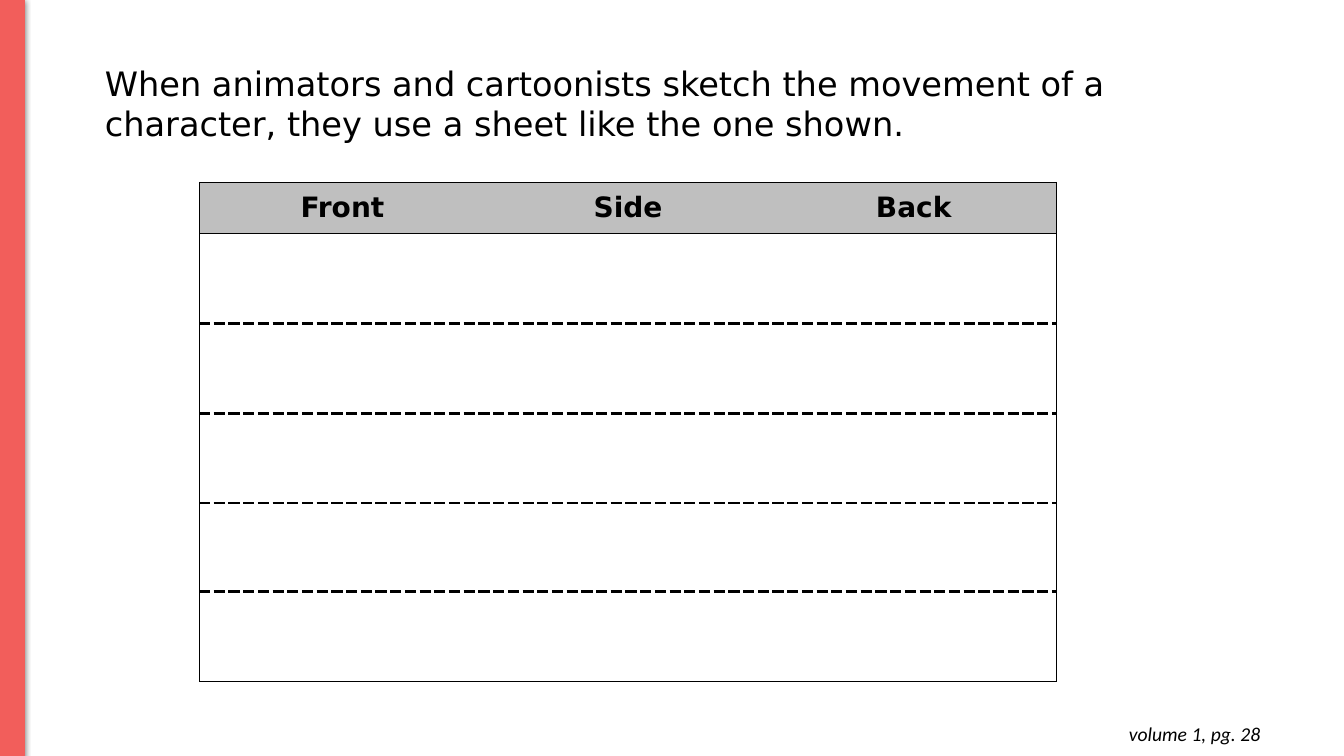
from lxml.etree import SubElement
from pptx import Presentation
from pptx.dml.color import RGBColor
from pptx.enum.shapes import MSO_SHAPE
from pptx.enum.text import MSO_ANCHOR, MSO_AUTO_SIZE, PP_ALIGN
from pptx.oxml.ns import qn
from pptx.util import Inches, Pt

BLACK = "000000"
CORAL = "F25E5B"
HEADER_GREY = "BFBFBF"
SANS = "DejaVu Sans"
PLAIN_TABLE_STYLE = "{2D5ABB26-0587-4C30-8999-92F81FD0307C}"
THIN = (1, "solid")
DASHED = (2.25, "dash")
VIEWS = ["Front", "Side", "Back"]
ROW_HEIGHTS = [0.51, 0.89, 0.89, 0.89, 0.88, 0.89]


def rgb(hex_colour):
    """Turn a hex string into a colour."""
    return RGBColor.from_string(hex_colour)


def add_run(paragraph, text, size, font=SANS, bold=False, italic=False):
    """Add a black run to a paragraph."""
    run = paragraph.add_run()
    run.text = text
    run.font.name = font
    run.font.size = Pt(size)
    run.font.bold = bold
    run.font.italic = italic
    run.font.color.rgb = rgb(BLACK)


def add_side_bar(slide):
    """Draw the coral bar with its soft shadow."""
    bar = slide.shapes.add_shape(
        MSO_SHAPE.RECTANGLE, Inches(0), Inches(-0.01), Inches(0.24), Inches(7.51))
    bar.fill.solid()
    bar.fill.fore_color.rgb = rgb(CORAL)
    bar.line.color.rgb = rgb(CORAL)
    bar.line.width = Pt(0.75)
    bar.shadow.inherit = False
    effects = bar._element.spPr.find(qn("a:effectLst"))
    shadow = SubElement(effects, qn("a:outerShdw"), blurRad=str(Pt(4.5)),
                        dist=str(Pt(1.5)), dir="5400000", rotWithShape="0")
    colour = SubElement(shadow, qn("a:srgbClr"), val=BLACK)
    SubElement(colour, qn("a:alpha"), val="50000")


def set_title(slide, text):
    """Place and fill the title placeholder."""
    title = slide.shapes.title
    title.left, title.top = Inches(0.94), Inches(0.57)
    title.width, title.height = Inches(11.21), Inches(0.91)
    frame = title.text_frame
    frame.word_wrap = True
    frame.auto_size = MSO_AUTO_SIZE.NONE
    frame.vertical_anchor = MSO_ANCHOR.TOP
    frame.paragraphs[0].alignment = PP_ALIGN.LEFT
    add_run(frame.paragraphs[0], text, 24)


def add_page_reference(slide, text):
    """Add the right-aligned page reference."""
    reference = slide.shapes.add_textbox(
        Inches(9.72), Inches(7.06), Inches(2.88), Inches(0.44))
    frame = reference.text_frame
    frame.word_wrap = True
    frame.margin_top = frame.margin_bottom = Inches(0.1)
    frame.paragraphs[0].alignment = PP_ALIGN.RIGHT
    add_run(frame.paragraphs[0], text, 14, font="Calibri", italic=True)


def add_border(cell, side, width, dash):
    """Draw one side of a cell."""
    line = SubElement(cell._tc.get_or_add_tcPr(), qn(f"a:ln{side}"), w=str(Pt(width)))
    fill = SubElement(line, qn("a:solidFill"))
    SubElement(fill, qn("a:srgbClr"), val=BLACK)
    SubElement(line, qn("a:prstDash"), val=dash)


def format_cell(cell, row, column):
    """Give a cell its borders and fill."""
    if column == 0:
        add_border(cell, "L", *THIN)
    if column == len(VIEWS) - 1:
        add_border(cell, "R", *THIN)
    add_border(cell, "T", *(THIN if row < 2 else DASHED))
    add_border(cell, "B", *(THIN if row in (0, len(ROW_HEIGHTS) - 1) else DASHED))
    if row == 0:
        cell.fill.solid()
        cell.fill.fore_color.rgb = rgb(HEADER_GREY)
    else:
        cell.fill.background()


def add_sketch_sheet(slide):
    """Add the sheet with three views and empty sketching rows."""
    sheet = slide.shapes.add_table(
        len(ROW_HEIGHTS), len(VIEWS), Inches(1.98), Inches(1.81),
        Inches(8.5), Inches(sum(ROW_HEIGHTS))).table
    sheet.first_row = sheet.horz_banding = False
    sheet._tbl.tblPr.find(qn("a:tableStyleId")).text = PLAIN_TABLE_STYLE
    for row, height in enumerate(ROW_HEIGHTS):
        sheet.rows[row].height = Inches(height)
        for column in range(len(VIEWS)):
            format_cell(sheet.cell(row, column), row, column)
    for column, view in enumerate(VIEWS):
        heading = sheet.cell(0, column)
        heading.vertical_anchor = MSO_ANCHOR.MIDDLE
        paragraph = heading.text_frame.paragraphs[0]
        paragraph.alignment = PP_ALIGN.CENTER
        add_run(paragraph, view, 20, bold=True)


def main():
    """Build and save the slide."""
    deck = Presentation()
    deck.slide_width, deck.slide_height = Inches(13.33), Inches(7.5)
    slide = deck.slides.add_slide(deck.slide_layouts.get_by_name("Title Only"))
    add_page_reference(slide, "volume 1, pg. 28")
    set_title(slide, "When animators and cartoonists sketch the movement of a "
                     "character, they use a sheet like the one shown.")
    add_side_bar(slide)
    add_sketch_sheet(slide)
    deck.save("out.pptx")


if __name__ == "__main__":
    main()
